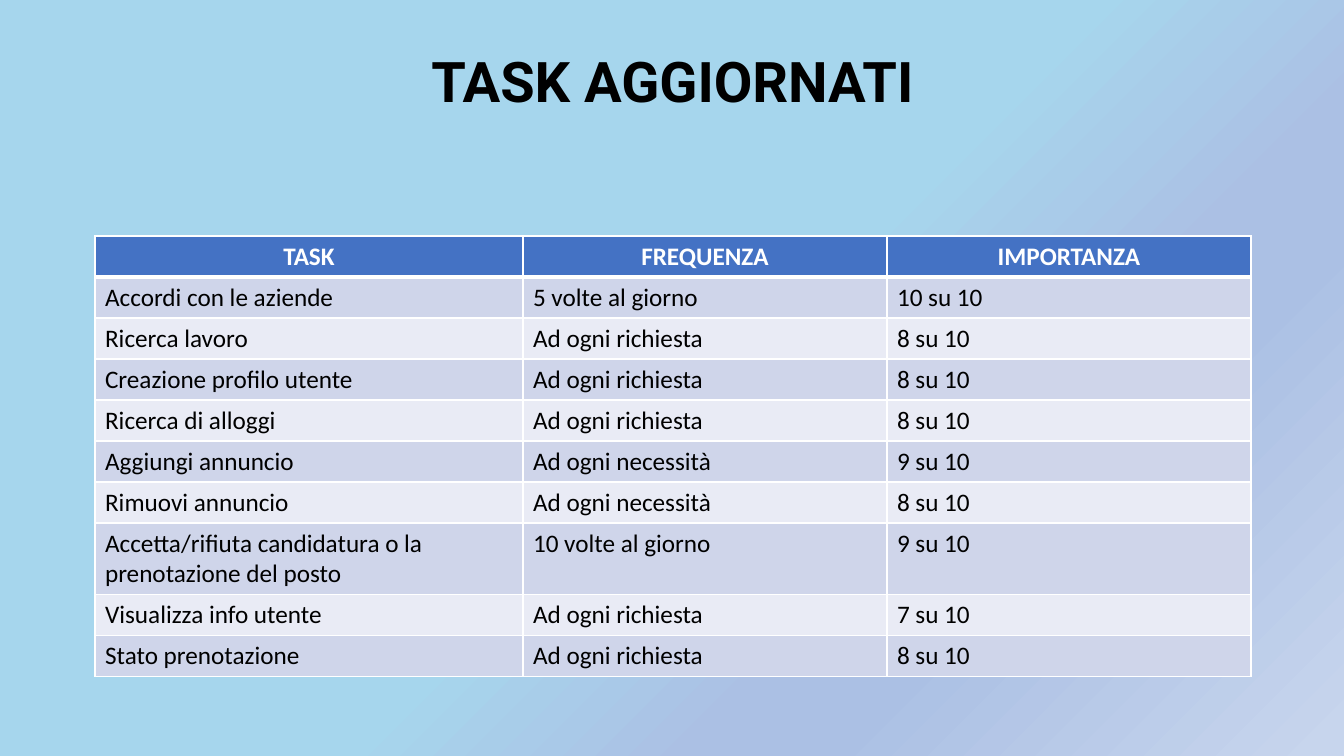
from lxml.etree import SubElement
from pptx import Presentation
from pptx.dml.color import RGBColor
from pptx.enum.text import MSO_ANCHOR as Anchor, PP_ALIGN as Align
from pptx.oxml import parse_xml
from pptx.oxml.ns import nsdecls, qn
from pptx.util import Emu, Pt

COLORS = {
    "sky": "A6D6ED", "periwinkle": "ABC0E4", "mist": "C7D5ED",
    "header": "4472C4", "odd": "CFD5EA", "even": "E9EBF5",
    "white": "FFFFFF", "black": "000000",
}
GRADIENT = [(52, "sky"), (69, "periwinkle"), (75, "periwinkle"), (99, "mist")]
HEADINGS = ("TASK", "FREQUENZA", "IMPORTANZA")
TASKS = [
    ("Accordi con le aziende", "5 volte al giorno", "10 su 10"),
    ("Ricerca lavoro", "Ad ogni richiesta", "8 su 10"),
    ("Creazione profilo utente", "Ad ogni richiesta", "8 su 10"),
    ("Ricerca di alloggi", "Ad ogni richiesta", "8 su 10"),
    ("Aggiungi annuncio", "Ad ogni necessità", "9 su 10"),
    ("Rimuovi annuncio", "Ad ogni necessità", "8 su 10"),
    ("Accetta/rifiuta candidatura o la prenotazione del posto",
     "10 volte al giorno", "9 su 10"),
    ("Visualizza info utente", "Ad ogni richiesta", "7 su 10"),
    ("Stato prenotazione", "Ad ogni richiesta", "8 su 10"),
]


def px(length):
    return Emu(round(length * 914400 / 100.8))


class SlideBuilder:
    title_font = "Roboto"
    body_font = "Calibri"

    def __init__(self, presentation):
        self.slide = presentation.slides.add_slide(presentation.slide_layouts[5])

    def background(self, stops, angle):
        fill = self.slide.background.fill
        fill.gradient()
        fill.gradient_angle = 360 - angle
        stop_list = fill.gradient_stops[0].color._xFill.getparent()
        for stop in list(stop_list):
            stop_list.remove(stop)
        for position, color in stops:
            stop = SubElement(stop_list, qn("a:gs"), pos=str(position * 1000))
            SubElement(stop, qn("a:srgbClr"), val=COLORS[color])

    def format_text(self, paragraph, font_name, size, color, bold, align):
        paragraph.alignment = align
        for run in paragraph.runs:
            font = run.font
            font.name, font.size, font.bold = font_name, Pt(size), bold
            font.color.rgb = RGBColor.from_string(COLORS[color])

    def title(self, text, left, top, width, height):
        shape = self.slide.shapes.title
        shape.left, shape.top = px(left), px(top)
        shape.width, shape.height = px(width), px(height)
        frame = shape.text_frame
        frame.text = text
        frame.vertical_anchor = Anchor.MIDDLE
        paragraph = frame.paragraphs[0]
        paragraph.line_spacing = 0.9
        self.format_text(paragraph, self.title_font, 40, "black", True, Align.CENTER)

    def borders(self, cell, top, bottom):
        properties = cell._tc.get_or_add_tcPr()
        sides = {"lnL": 1, "lnR": 1, "lnT": top, "lnB": bottom}
        for index, (side, width) in enumerate(sides.items()):
            properties.insert(index, parse_xml(
                f'<a:{side} {nsdecls("a")} w="{Pt(width)}"><a:solidFill>'
                f'<a:srgbClr val="{COLORS["white"]}"/></a:solidFill></a:{side}>'))

    def cell(self, cell, text, row):
        header = row == 0
        fill = "header" if header else "odd" if row % 2 else "even"
        cell.text = text
        cell.fill.solid()
        cell.fill.fore_color.rgb = RGBColor.from_string(COLORS[fill])
        self.borders(cell, 3 if row == 1 else 1, 3 if header else 1)
        self.format_text(cell.text_frame.paragraphs[0], self.body_font, 18,
                         "white" if header else "black", header,
                         Align.CENTER if header else Align.LEFT)

    def table(self, rows, left, top, widths, row_height):
        frame = self.slide.shapes.add_table(
            len(rows), len(widths), px(left), px(top),
            px(sum(widths)), px(row_height * len(rows)))
        table = frame.table
        for column, width in zip(table.columns, widths):
            column.width = px(width)
        for row, texts in enumerate(rows):
            table.rows[row].height = px(row_height)
            for column, text in enumerate(texts):
                self.cell(table.cell(row, column), text, row)


def main():
    presentation = Presentation()
    presentation.slide_width, presentation.slide_height = px(1344), px(756)
    builder = SlideBuilder(presentation)
    builder.background(GRADIENT, 45)
    builder.title("TASK AGGIORNATI", 93, 0, 1159, 168)
    builder.table([HEADINGS, *TASKS], 95, 236, (428, 364, 364), 41)
    presentation.save("out.pptx")


if __name__ == "__main__":
    main()
